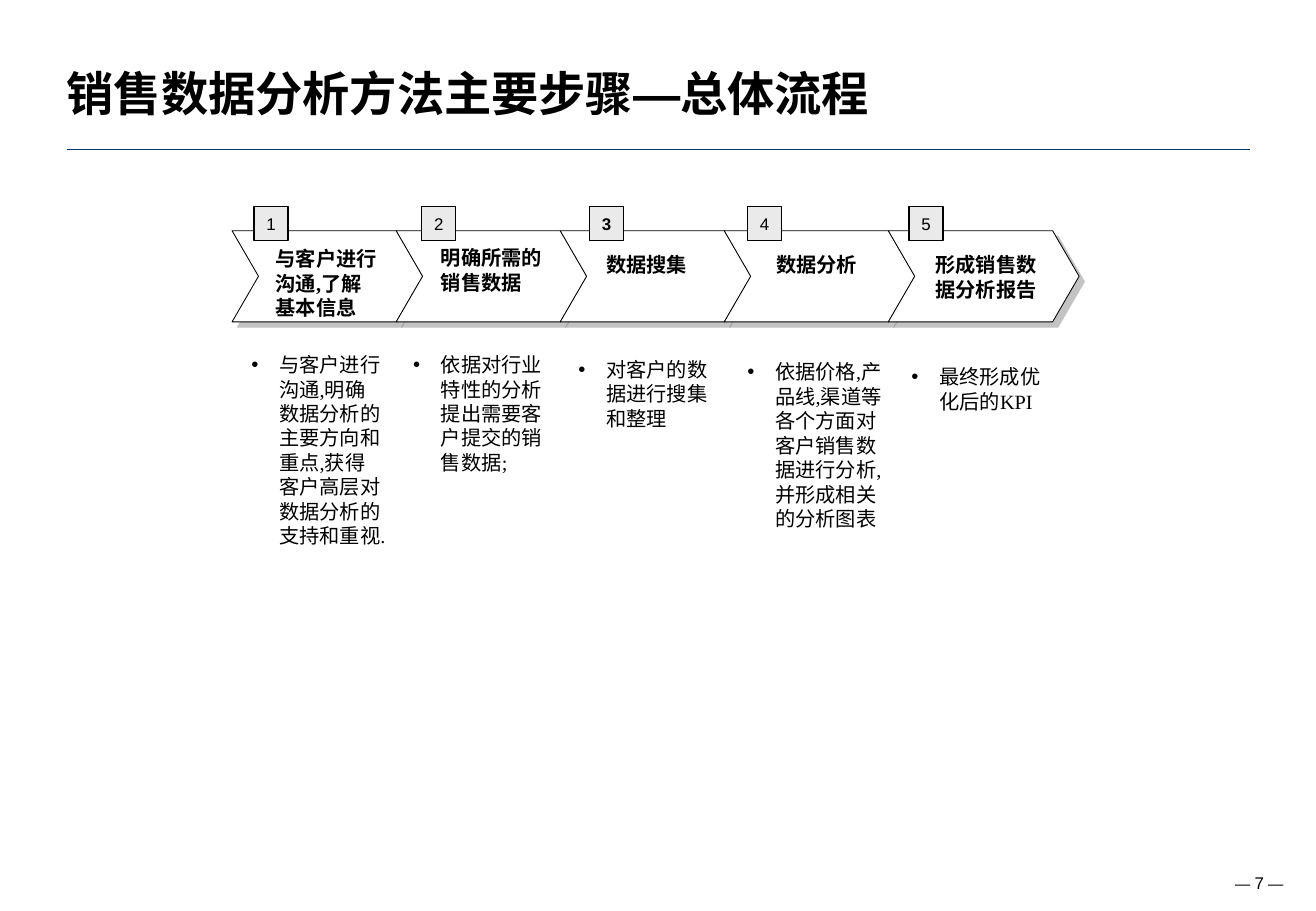
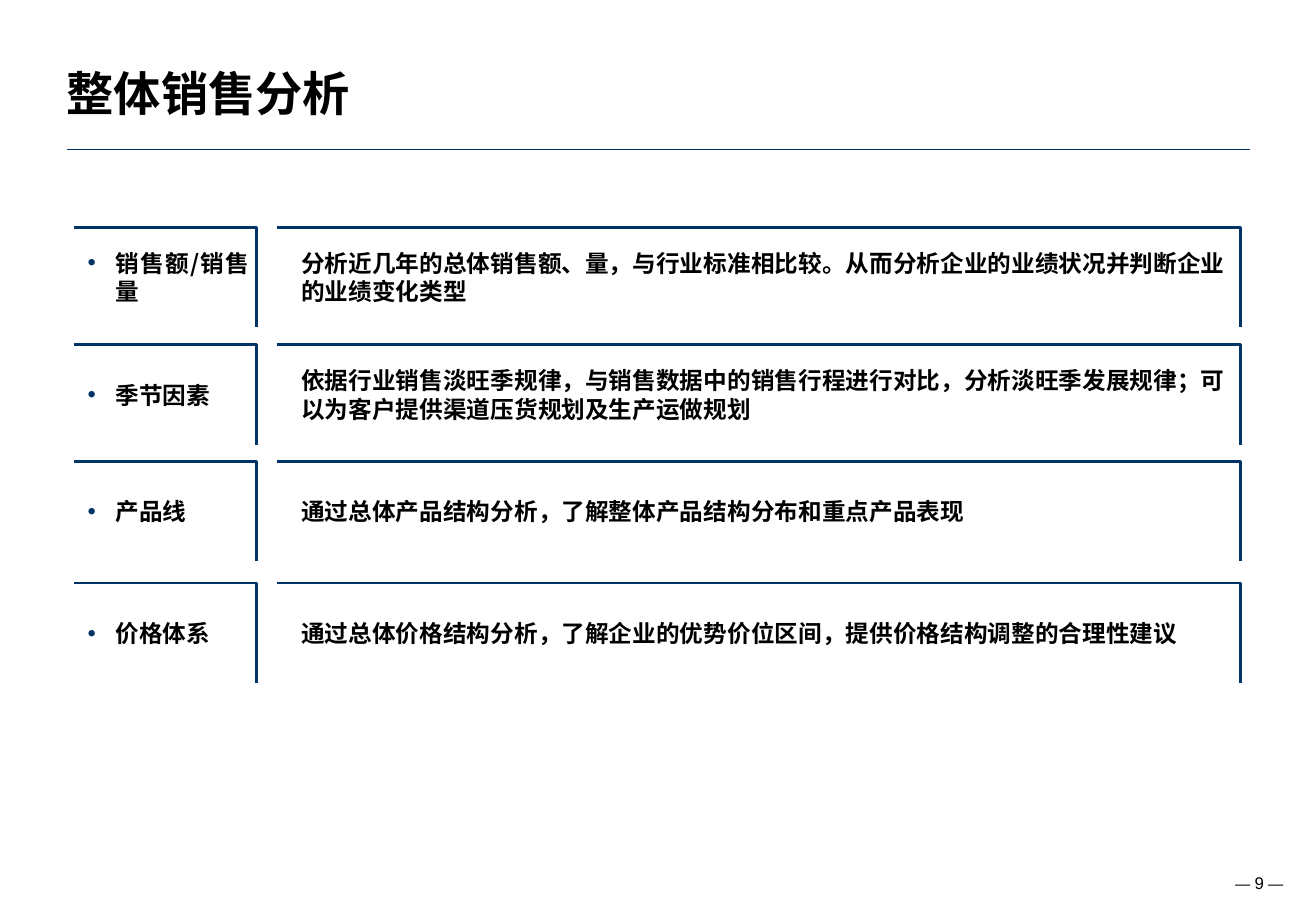
from typing import NamedTuple

from lxml.etree import SubElement
from pptx import Presentation
from pptx.dml.color import RGBColor
from pptx.enum.shapes import MSO_CONNECTOR, MSO_SHAPE
from pptx.enum.text import MSO_ANCHOR, PP_ALIGN
from pptx.oxml.ns import qn
from pptx.util import Emu, Inches, Pt

COLORS = {"ink": "000000", "paper": "FFFFFF", "navy": "003366", "tag": "EAEAEA", "shade": "888888"}
HEI, SONG, SANS = "Noto Sans CJK SC", "Times New Roman", "Arial"
LINE_HEIGHT = 1.21
HANG = Inches(0.23)


class Box(NamedTuple):
    """A rectangle whose areas are given in percent of its width and height."""

    left: int
    top: int
    width: int
    height: int

    def area(self, x, y, width, height):
        """Return the rectangle at these percentages of this one."""
        return Box(
            Emu(round(self.left + self.width * x / 100)),
            Emu(round(self.top + self.height * y / 100)),
            Emu(round(self.width * width / 100)),
            Emu(round(self.height * height / 100)),
        )


class Step(NamedTuple):
    """One step of the process, with positions in percent of its column."""

    heading: str
    detail: str
    tag_x: float
    heading_at: tuple
    detail_at: tuple
    detail_width: float = 99.3
    bold_tag: bool = False


class Topic(NamedTuple):
    """One row of the analysis, with its top in percent of the page."""

    label: str
    description: str
    top: float


PAGE = Box(0, 0, Inches(10.83), Inches(7.5))

STEPS = [
    Step("与客户进行沟通,了解基本信息",
         "与客户进行沟通,明确数据分析的主要方向和重点,获得客户高层对数据分析的支持和重视.",
         13.3, (19.3, 10.7), (4.4, 126.7), detail_width=95.6),
    Step("明确所需的销售数据",
         "依据对行业特性的分析提出需要客户提交的销售数据;",
         15.6, (20, 9.3), (3, 126.7)),
    Step("数据搜集", "对客户的数据进行搜集和整理",
         17.8, (20.7, 17.3), (3.7, 132), bold_tag=True),
    Step("数据分析",
         "依据价格,产品线,渠道等各个方面对客户销售数据进行分析,并形成相关的分析图表",
         14.1, (24.4, 17.3), (6.7, 134.7)),
    Step("形成销售数据分析报告", "最终形成优化后的KPI",
         12.6, (21.5, 17.3), (6.7, 140)),
]

TOPICS = [
    Topic("销售额/销售量",
          "分析近几年的总体销售额、量，与行业标准相比较。从而分析企业的业绩状况并判断企业的业绩变化类型",
          24.93),
    Topic("季节因素",
          "依据行业销售淡旺季规律，与销售数据中的销售行程进行对比，分析淡旺季发展规律；可以为客户提供渠道压货规划及生产运做规划",
          37.87),
    Topic("产品线", "通过总体产品结构分析，了解整体产品结构分布和重点产品表现", 50.67),
    Topic("价格体系", "通过总体价格结构分析，了解企业的优势价位区间，提供价格结构调整的合理性建议", 64),
]


def color(name):
    """Return a palette colour."""
    return RGBColor.from_string(COLORS[name])


def style_run(run, size, latin, east_asian=HEI, bold=False):
    """Set size, fonts and weight of a run."""
    run.font.size, run.font.bold, run.font.name = Pt(size), bold, latin
    run.font.color.rgb = color("ink")
    SubElement(run.font._element, qn("a:ea")).set("typeface", east_asian)


def set_bullet(paragraph, tint):
    """Give a paragraph a hanging round bullet."""
    props = paragraph._p.get_or_add_pPr()
    props.set("marL", str(HANG))
    props.set("indent", str(-HANG))
    bullet_color = SubElement(props, qn("a:buClr"))
    SubElement(bullet_color, qn("a:srgbClr")).set("val", COLORS[tint])
    SubElement(props, qn("a:buFont")).set("typeface", SANS)
    SubElement(props, qn("a:buChar")).set("char", "•")


def set_frame(frame, anchor, padded, wrap=True):
    """Set wrapping, anchor and margins of a text frame."""
    frame.word_wrap, frame.vertical_anchor = wrap, anchor
    frame.margin_left = frame.margin_right = Inches(0.1 if padded else 0)
    frame.margin_top = frame.margin_bottom = Inches(0.05 if padded else 0)


def add_text(slide, box, text, size, latin, bold=False, anchor=MSO_ANCHOR.TOP,
             padded=True, bullet=None, align=PP_ALIGN.LEFT):
    """Add a text box holding one paragraph in one style."""
    frame = slide.shapes.add_textbox(*box).text_frame
    set_frame(frame, anchor, padded)
    frame.text = text
    paragraph = frame.paragraphs[0]
    paragraph.alignment = align
    paragraph.line_spacing = Pt(round(size * LINE_HEIGHT, 1))
    style_run(paragraph.runs[0], size, latin, bold=bold)
    if bullet:
        set_bullet(paragraph, bullet)


def add_mixed_text(slide, box, pieces, anchor, padded, align=PP_ALIGN.LEFT):
    """Add a text box whose single paragraph mixes run styles."""
    frame = slide.shapes.add_textbox(*box).text_frame
    set_frame(frame, anchor, padded)
    paragraph = frame.paragraphs[0]
    paragraph.alignment = align
    for text, size, font, bold in pieces:
        run = paragraph.add_run()
        run.text = text
        style_run(run, size, font, font, bold)


def add_page(deck, title, number):
    """Add a slide with its title, rule and page number."""
    slide = deck.slides.add_slide(deck.slide_layouts[6])
    add_mixed_text(slide, PAGE.area(90.21, 94.13, 8.22, 5.6),
                   [("— ", 9, SANS, False), (str(number), 10, SANS, False), (" —", 9, SANS, False)],
                   MSO_ANCHOR.MIDDLE, True, PP_ALIGN.RIGHT)
    rule = PAGE.area(5.08, 16.4, 89.94, 0)
    line = slide.shapes.add_connector(MSO_CONNECTOR.STRAIGHT, rule.left, rule.top,
                                      rule.left + rule.width, rule.top)
    line.line.color.rgb, line.line.width = color("navy"), Pt(1)
    SubElement(line._element.spPr, qn("a:effectLst"))
    add_mixed_text(slide, PAGE.area(5.08, 4.13, 79.78, 9.2),
                   [(text, 28, font, True) for text, font in title], MSO_ANCHOR.BOTTOM, False)
    return slide


def add_filled(slide, preset, box, fill, width):
    """Add a filled, black-outlined preset shape without shadow."""
    shape = slide.shapes.add_shape(preset, *box)
    shape.shadow.inherit = False
    shape.fill.solid()
    shape.fill.fore_color.rgb = color(fill)
    shape.line.color.rgb, shape.line.width = color("ink"), Pt(width)
    return shape


def add_chevron(slide, column):
    """Add the arrow of a step with its offset shadow."""
    chevron = add_filled(slide, MSO_SHAPE.CHEVRON, column.area(0, 0, 116.3, 100), "paper", 0.5)
    chevron.adjustments[0] = 0.29
    effects = chevron._element.spPr.find(qn("a:effectLst"))
    shadow = SubElement(effects, qn("a:outerShdw"), dist=str(Pt(4.5)), dir="2700000",
                        algn="ctr", rotWithShape="0")
    shade = SubElement(shadow, qn("a:srgbClr"), val=COLORS["shade"])
    SubElement(shade, qn("a:alpha"), val="50000")


def add_step(slide, column, number, step):
    """Add number, heading and detail of a step."""
    tag = add_filled(slide, MSO_SHAPE.RECTANGLE,
                     column.area(step.tag_x, -26.67, 20.74, 37.33), "tag", 0.75)
    set_frame(tag.text_frame, MSO_ANCHOR.MIDDLE, True, wrap=False)
    tag.text_frame.text = str(number)
    paragraph = tag.text_frame.paragraphs[0]
    paragraph.alignment = PP_ALIGN.CENTER
    style_run(paragraph.runs[0], 10, SANS, bold=step.bold_tag)
    add_text(slide, column.area(*step.heading_at, 77, 70), step.heading, 12, SONG, bold=True)
    add_text(slide, column.area(*step.detail_at, step.detail_width, 200), step.detail, 12, SONG,
             bullet="ink")


def add_process(slide, band):
    """Lay the steps out in equal columns of the band."""
    share = 100 / len(STEPS)
    columns = [band.area(i * share, 0, share, 100) for i in range(len(STEPS))]
    for column in columns:
        add_chevron(slide, column)
    for number, (column, step) in enumerate(zip(columns, STEPS), 1):
        add_step(slide, column, number, step)


def add_corner(slide, box):
    """Draw the top and right edges of a box."""
    right = box.left + box.width
    builder = slide.shapes.build_freeform(box.left, box.top)
    builder.add_line_segments([(right, box.top), (right, box.top + box.height)], close=False)
    corner = builder.convert_to_shape()
    corner.shadow.inherit = False
    corner.fill.background()
    corner.line.color.rgb, corner.line.width = color("navy"), Pt(1.75)


def add_topic(slide, row, topic):
    """Add label and description of a topic, each under its corner."""
    add_text(slide, row.area(1.15, 0, 13.85, 100), topic.label, 14, HEI, True,
             MSO_ANCHOR.MIDDLE, False, "navy", PP_ALIGN.JUSTIFY)
    add_text(slide, row.area(19.48, 0, 79.58, 100), topic.description, 14, HEI, True,
             MSO_ANCHOR.MIDDLE, False)
    add_corner(slide, row.area(17.4, 0, 82.6, 100))
    add_corner(slide, row.area(0, 0, 15.63, 100))


def main():
    """Build both slides and save the deck."""
    deck = Presentation()
    deck.slide_width, deck.slide_height = PAGE.width, PAGE.height
    process = add_page(deck, [("销售数据分析方法主要步骤", HEI), ("—", SANS), ("总体流程", HEI)], 7)
    add_process(process, PAGE.area(17.64, 25.33, 62.33, 10))
    analysis = add_page(deck, [("整体销售分析", HEI)], 9)
    for topic in TOPICS:
        add_topic(analysis, PAGE.area(5.63, topic.top, 88.64, 10.93), topic)
    deck.save("out.pptx")


if __name__ == "__main__":
    main()
